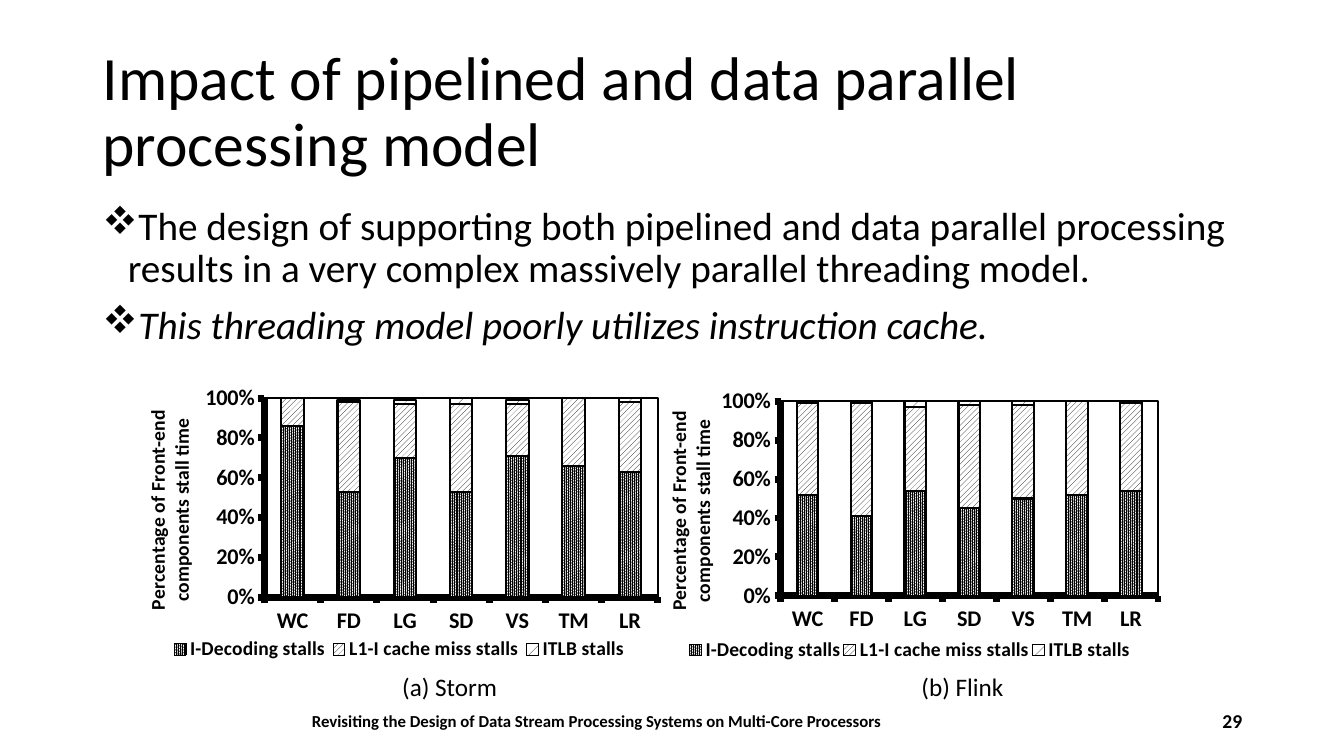
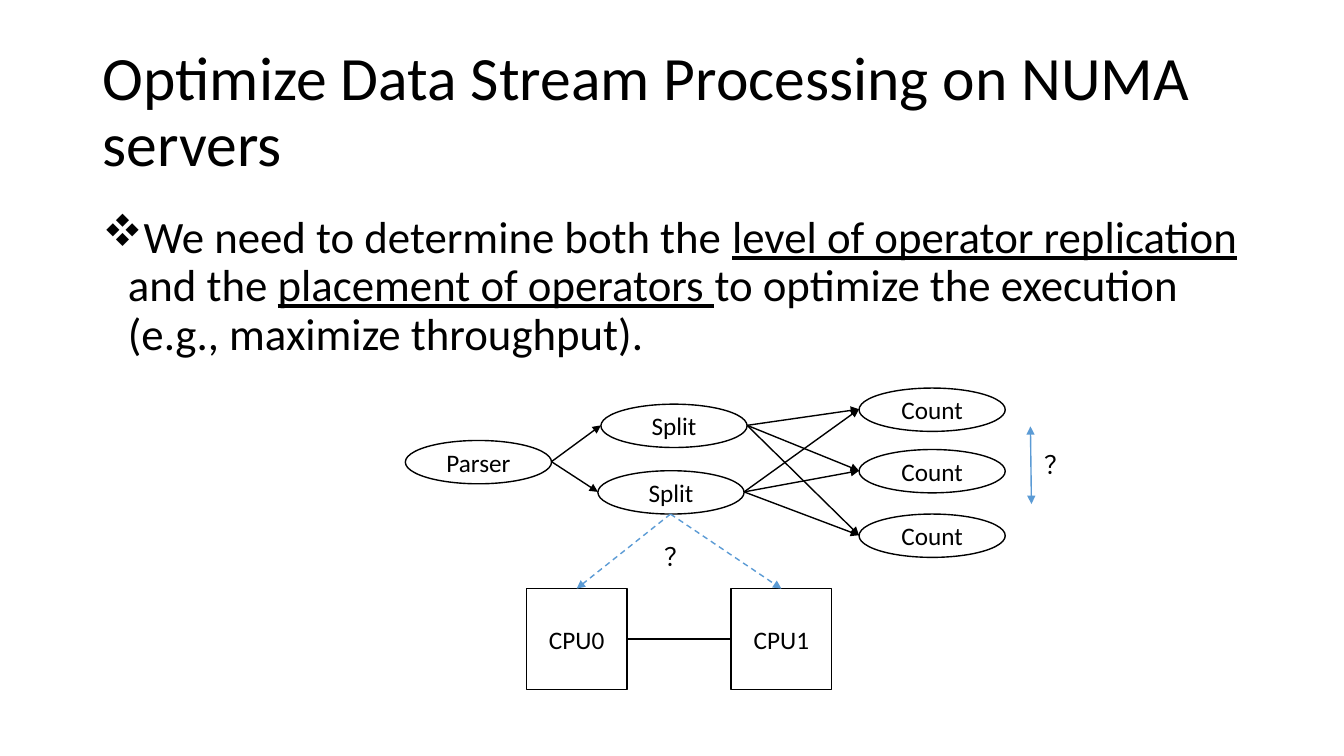
"""Build two slides on stream processing: stall-time charts and operator placement."""
import lxml.etree
import pptx
import pptx.chart.data
import pptx.dml.color
import pptx.enum.chart
import pptx.enum.dml
import pptx.enum.shapes
import pptx.enum.text
import pptx.oxml.ns
import pptx.util

PX = 9144
FONT = "Calibri"
COLORS = {"ink": "000000", "paper": "FFFFFF", "blue": "5B9BD5"}
ALIGN = pptx.enum.text.PP_ALIGN
MIDDLE = pptx.enum.text.MSO_ANCHOR.MIDDLE
PATTERN = pptx.enum.dml.MSO_PATTERN
SHAPE = pptx.enum.shapes.MSO_SHAPE

TITLE_BOX = (92, 40, 1150, 145)
FOOTER = "Revisiting the Design of Data Stream Processing Systems on Multi-Core Processors"
FOOTER_BOX = (292, 695, 600, 40)
NUMBER_BOX = (942, 695, 300, 40)

STALLS = {
    "title": "Impact of pipelined and data parallel processing model",
    "box": (92, 200, 1150, 476),
    "size": 28,
    "number": "29",
    "bullets": [
        [("The design of supporting both pipelined and data parallel processing "
          "results in a very complex massively parallel threading model.", "")],
        [("This threading model poorly utilizes instruction cache.", "i")],
    ],
}
NUMA = {
    "title": "Optimize Data Stream Processing on NUMA servers",
    "box": (92, 208, 1150, 193),
    "size": 32,
    "bullets": [
        [("We need to determine both the ", ""),
         ("level of operator replication", "u"),
         (" and the ", ""),
         ("placement of operators ", "u"),
         ("to optimize the execution (e.g., maximize throughput).", "")],
    ],
}

AXIS_TITLE = "Percentage of Front-end components stall time"
LEGEND_LAYOUT = (0.05, 0.9, 0.9, 0.1)
APPS = ["WC", "FD", "LG", "SD", "VS", "TM", "LR"]
SERIES = [
    ("I-Decoding stalls", PATTERN.PERCENT_90),
    ("L1-I cache miss stalls", PATTERN.WIDE_UPWARD_DIAGONAL),
    ("ITLB stalls", PATTERN.PERCENT_5),
]
CHARTS = [
    {"caption": "(a) Storm", "caption_box": (389, 661, 125, 40),
     "box": (139, 381, 517, 282), "plot": (0.24, 0.05, 0.76, 0.7),
     "values": [(0.86, 0.53, 0.7, 0.53, 0.71, 0.66, 0.63),
                (0.14, 0.45, 0.27, 0.44, 0.26, 0.34, 0.35),
                (0, 0.01, 0.02, 0.03, 0.02, 0, 0.02)]},
    {"caption": "(b) Flink", "caption_box": (904, 661, 111, 40),
     "box": (656, 384, 496, 280), "plot": (0.24, 0.05, 0.76, 0.69),
     "values": [(0.52, 0.41, 0.54, 0.45, 0.5, 0.52, 0.54),
                (0.47, 0.58, 0.43, 0.53, 0.48, 0.48, 0.45),
                (0.01, 0.02, 0.03, 0.02, 0.02, 0, 0.01)]},
]

NODE_W, NODE_H, CPU_SIDE = 145, 43, 100
STAGES = [
    ("Parser", [(402, 437)]),
    ("Split", [(596, 401), (593, 467)]),
    ("Count", [(852, 385), (852, 446), (852, 510)]),
]
CPUS = [("CPU0", 522, 584), ("CPU1", 725, 584)]
QUESTIONS = [(1026, 441, 45, 40), (649, 532, 45, 40)]
REPLICATION_ARROW = ((1022, 423), (1023, 500))


def emu(lengths):
    return [n * PX for n in lengths]


def rgb(name):
    return pptx.dml.color.RGBColor.from_string(COLORS[name])


def child(parent, tag, **attrs):
    return lxml.etree.SubElement(parent, pptx.oxml.ns.qn(tag), attrs)


def set_font(font, size, bold=False):
    font.name, font.size, font.bold = FONT, pptx.util.Pt(size), bold
    font.color.rgb = rgb("ink")


def set_line(line, color="ink", width=1):
    line.color.rgb = rgb(color)
    line.width = pptx.util.Pt(width)


def add_run(p, text, size, bold=False, style=""):
    r = p.add_run()
    r.text = text
    set_font(r.font, size, bold)
    if style == "i":
        r.font.italic = True
    if style == "u":
        r.font.underline = True


def add_text(s, box, text, size, bold=False, align=ALIGN.LEFT, anchor=None, wrap=True):
    tf = s.shapes.add_textbox(*emu(box)).text_frame
    tf.word_wrap = wrap
    if anchor is not None:
        tf.vertical_anchor = anchor
    p = tf.paragraphs[0]
    p.alignment = align
    add_run(p, text, size, bold)
    return p


def add_bullets(s, box, bullets, size):
    tf = s.shapes.add_textbox(*emu(box)).text_frame
    tf.word_wrap = True
    for i, runs in enumerate(bullets):
        p = tf.add_paragraph() if i else tf.paragraphs[0]
        pPr = p._p.get_or_add_pPr()
        pPr.set("marL", str(25 * PX))
        pPr.set("indent", str(-25 * PX))
        child(pPr, "a:buFont", typeface="Wingdings", charset="2")
        child(pPr, "a:buChar", char="v")
        p.line_spacing = 0.9
        if i:
            p.space_before = pptx.util.Pt(10)
        for text, style in runs:
            add_run(p, text, size, style=style)


def start_slide(prs, content):
    s = prs.slides.add_slide(prs.slide_layouts[6])
    s.background.fill.solid()
    s.background.fill.fore_color.rgb = rgb("paper")
    add_text(s, TITLE_BOX, content["title"], 44, anchor=MIDDLE).line_spacing = 0.9
    add_bullets(s, content["box"], content["bullets"], content["size"])
    if "number" in content:
        add_text(s, FOOTER_BOX, FOOTER, 12, True, ALIGN.CENTER, MIDDLE)
        add_text(s, NUMBER_BOX, content["number"], 14, True, ALIGN.RIGHT, MIDDLE)
    return s


def set_layout(parent, index, box, target=None):
    for old in parent.findall(pptx.oxml.ns.qn("c:layout")):
        parent.remove(old)
    layout = child(parent, "c:layout")
    parent.insert(index, layout)
    manual = child(layout, "c:manualLayout")
    if target:
        child(manual, "c:layoutTarget", val=target)
    for tag in ("c:xMode", "c:yMode"):
        child(manual, tag, val="edge")
    for tag, value in zip("xywh", box):
        child(manual, "c:" + tag, val=str(value))


def frame_plot(area):
    ln = child(child(area, "c:spPr"), "a:ln", w=str(pptx.util.Pt(1.5)))
    child(child(ln, "a:solidFill"), "a:srgbClr", val=COLORS["ink"])


def add_stall_chart(s, spec):
    data = pptx.chart.data.CategoryChartData(number_format="0%")
    data.categories = APPS
    for (name, _), values in zip(SERIES, spec["values"]):
        data.add_series(name, values)
    kind = pptx.enum.chart.XL_CHART_TYPE.COLUMN_STACKED
    chart = s.shapes.add_chart(kind, *emu(spec["box"]), data).chart
    set_font(chart.font, 16, True)
    chart.has_title = False
    chart.has_legend = True
    chart.legend.position = pptx.enum.chart.XL_LEGEND_POSITION.BOTTOM
    chart.legend.include_in_layout = False
    set_font(chart.legend.font, 14, True)
    for axis in (chart.category_axis, chart.value_axis):
        axis.has_major_gridlines = False
        axis.major_tick_mark = pptx.enum.chart.XL_TICK_MARK.OUTSIDE
        set_line(axis.format.line, width=5)
        set_font(axis.tick_labels.font, 16, True)
    axis = chart.value_axis
    axis.minimum_scale, axis.maximum_scale, axis.major_unit = 0, 1, 0.2
    axis.tick_labels.number_format = "0%"
    axis.tick_labels.number_format_is_linked = False
    add_run(axis.axis_title.text_frame.paragraphs[0], AXIS_TITLE, 14, True)
    plot = chart.plots[0]
    plot.gap_width, plot.overlap, plot.vary_by_categories = 150, 100, False
    for series, (_, pattern) in zip(plot.series, SERIES):
        fill = series.format.fill
        fill.patterned()
        fill.pattern = pattern
        fill.fore_color.rgb, fill.back_color.rgb = rgb("ink"), rgb("paper")
        set_line(series.format.line, width=1.5)
    area = chart._chartSpace.chart.plotArea
    set_layout(area, 0, spec["plot"], "inner")
    frame_plot(area)
    set_layout(chart.legend._element, 1, LEGEND_LAYOUT)
    add_text(s, spec["caption_box"], spec["caption"], 18, wrap=False)


def add_node(s, kind, box, text):
    sp = s.shapes.add_shape(kind, *emu(box))
    sp.shadow.inherit = False
    sp.fill.solid()
    sp.fill.fore_color.rgb = rgb("paper")
    set_line(sp.line)
    tf = sp.text_frame
    tf.word_wrap = False
    tf.vertical_anchor = MIDDLE
    p = tf.paragraphs[0]
    p.alignment = ALIGN.CENTER
    add_run(p, text, 18)
    return sp


def add_line(s, start, end, color="ink", ends=(), dashed=False):
    straight = pptx.enum.shapes.MSO_CONNECTOR.STRAIGHT
    c = s.shapes.add_connector(straight, *emu(start + end))
    set_line(c.line, color)
    if dashed:
        c.line.dash_style = pptx.enum.dml.MSO_LINE.DASH
    for tag in ends:
        child(c.line._get_or_add_ln(), tag, type="triangle")
    child(c._element.spPr, "a:effectLst")
    return c


def add_operators(s):
    for name, spots in STAGES:
        for x, y in spots:
            add_node(s, SHAPE.OVAL, (x, y, NODE_W, NODE_H), name)
    mid = NODE_H // 2
    for (_, sources), (_, targets) in zip(STAGES, STAGES[1:]):
        for x, y in sources:
            for tx, ty in targets:
                add_line(s, (x + NODE_W, y + mid), (tx, ty + mid), ends=["a:tailEnd"])


def add_placement(s):
    x, y = STAGES[1][1][-1]
    split_bottom = (x + NODE_W // 2, y + NODE_H)
    cpus = []
    for name, left, top in CPUS:
        cpu = add_node(s, SHAPE.RECTANGLE, (left, top, CPU_SIDE, CPU_SIDE), name)
        cpus.append(cpu)
        arrow = add_line(s, split_bottom, (left + CPU_SIDE // 2, top), "blue",
                         ["a:tailEnd"], True)
        arrow.end_connect(cpu, 0)
    link = add_line(s, (0, 0), (0, 0))
    link.begin_connect(cpus[0], 3)
    link.end_connect(cpus[1], 1)
    add_line(s, *REPLICATION_ARROW, "blue", ["a:headEnd", "a:tailEnd"])
    for box in QUESTIONS:
        add_text(s, box, "？", 18, wrap=False)


def main():
    prs = pptx.Presentation()
    prs.slide_width, prs.slide_height = emu((1333, 750))
    s = start_slide(prs, STALLS)
    for spec in CHARTS:
        add_stall_chart(s, spec)
    s = start_slide(prs, NUMA)
    add_operators(s)
    add_placement(s)
    prs.save("out.pptx")


if __name__ == "__main__":
    main()
